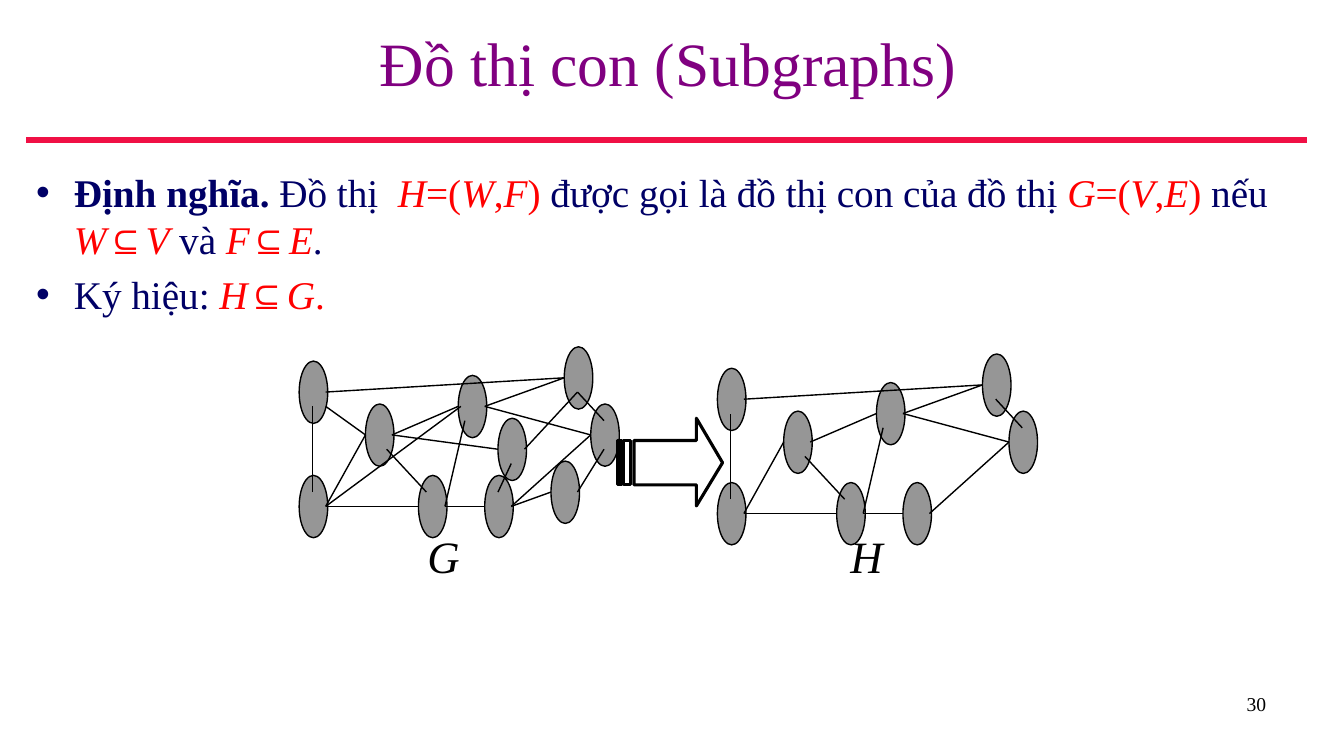
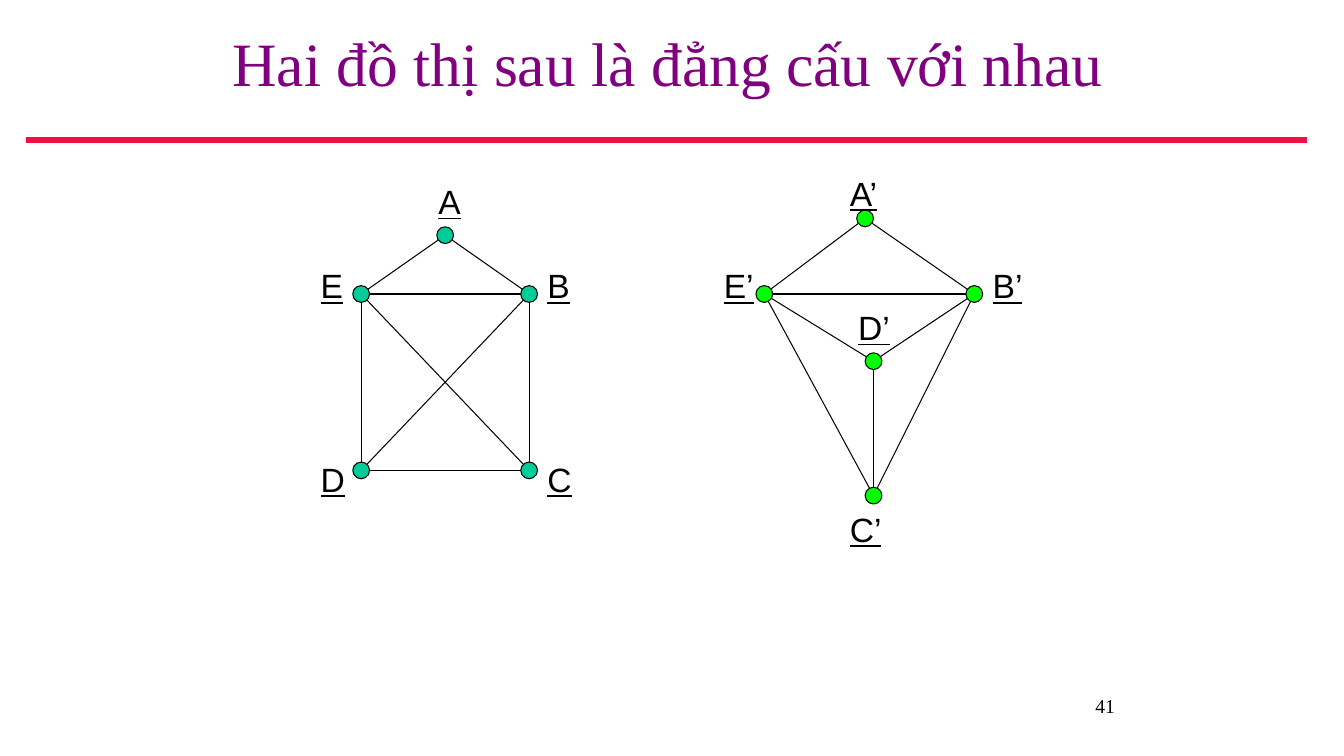
from itertools import groupby

from lxml import etree
from pptx import Presentation
from pptx.dml.color import RGBColor
from pptx.enum.shapes import MSO_CONNECTOR, MSO_SHAPE
from pptx.enum.text import MSO_ANCHOR, PP_ALIGN
from pptx.oxml.ns import qn
from pptx.util import Cm, Pt

LINE = MSO_CONNECTOR.STRAIGHT
OVAL = MSO_SHAPE.OVAL
TOP, MIDDLE = MSO_ANCHOR.TOP, MSO_ANCHOR.MIDDLE
LEFT, CENTER, RIGHT = PP_ALIGN.LEFT, PP_ALIGN.CENTER, PP_ALIGN.RIGHT

SERIF, SANS = "Times New Roman", "Arial"
BLACK, PURPLE, NAVY, RED = "000000", "800080", "000066", "FF0000"
CRIMSON, GREY, TEAL, GREEN = "F01045", "969696", "00CC99", "00FF00"

COL, ROW = 6.68 / 20, 0.36
UNIT = 2.54 / 12

NODES = [(0, 1), (0, 9), (9, 9), (12, 2), (20, 0), (5, 4), (14, 9), (22, 4)]
MORE_NODES = [(19, 8), (15, 5)]
EDGES = [
    (2, 1, 20, 0), (2, 9, 5, 4), (7, 4, 12, 2), (2, 9, 9, 9),
    (1, 8, 1, 2), (16, 9, 22, 4), (11, 9, 12.5, 3), (14, 2, 22, 4),
    (14, 2, 20, 0), (6.6, 5, 9.6, 8), (11, 9, 14, 9), (23, 3, 21, 1),
]
MORE_EDGES = [
    (2, 2, 5, 4), (7, 4, 15, 5), (16, 9, 19, 8), (15, 8, 16, 6),
    (17, 5, 21, 1), (21, 8, 23, 5), (2, 9, 12.2, 2),
]

HOUSE = {
    "A": (53, 28, 51, 21), "B": (63, 35, 64, 31), "C": (63, 56, 64, 54),
    "D": (43, 56, 37, 54), "E": (43, 35, 37, 31),
}
KITE = {
    "A’": (103, 26, 100, 20), "B’": (116, 35, 117, 31),
    "C’": (104, 59, 100, 60), "D’": (104, 43, 101, 36),
    "E’": (91, 35, 85, 31),
}
PAIRS = ["ED", "EB", "BC", "DC", "EA", "AB", "EC", "DB"]
KITE_PAIRS = ["AE", "AB", "EB", "ED", "BD", "DC", "EC", "BC"]


def paint(hue):
    return RGBColor.from_string(hue)


def style(font, size, hue, name=SERIF):
    font.name, font.size = name, Pt(size)
    font.color.rgb = paint(hue)


def frame(slide, x, y, w, h, anchor=TOP, wrap=True):
    box = slide.shapes.add_textbox(Cm(x), Cm(y), Cm(w), Cm(h))
    text = box.text_frame
    text.word_wrap = wrap
    text.vertical_anchor = anchor
    return text


def label(slide, words, area, size, hue=BLACK, name=SERIF, align=LEFT,
          anchor=TOP, wrap=True):
    par = frame(slide, *area, anchor, wrap).paragraphs[0]
    par.text = words
    par.alignment = align
    style(par.font, size, hue, name)
    return par.font


def line(slide, x1, y1, x2, y2, width=1, hue=BLACK):
    edge = slide.shapes.add_connector(LINE, Cm(x1), Cm(y1), Cm(x2), Cm(y2))
    edge.line.width = Pt(width)
    edge.line.color.rgb = paint(hue)
    etree.SubElement(edge._element.spPr, qn("a:effectLst"))


def oval(slide, x, y, w, h, hue, width):
    node = slide.shapes.add_shape(OVAL, Cm(x), Cm(y), Cm(w), Cm(h))
    node.shadow.inherit = False
    node.fill.solid()
    node.fill.fore_color.rgb = paint(hue)
    node.line.width = Pt(width)
    node.line.color.rgb = paint(BLACK)


def page(deck, title, number, area):
    slide = deck.slides.add_slide(deck.slide_layouts[6])
    line(slide, 0.66, 3.53, 32.94, 3.53, 4.5, CRIMSON)
    label(slide, number, area, 14, align=RIGHT)
    label(slide, title, (0.66, 0, 32.36, 3.12), 44, PURPLE,
          align=CENTER, anchor=MIDDLE)
    return slide


def bullet(par):
    props = par._p.get_or_add_pPr()
    props.set("marL", str(Cm(0.95)))
    props.set("indent", str(-Cm(0.95)))
    etree.SubElement(props, qn("a:buFont")).set("typeface", SANS)
    etree.SubElement(props, qn("a:buChar")).set("char", "•")
    style(par.font, 28, NAVY)


def put(par, words, bold=False):
    run = par.add_run()
    run.text = words
    if bold:
        run.font.bold = True
    return run


def math(par, words):
    for slant, part in groupby(words, str.isalpha):
        run = put(par, "".join(part))
        run.font.italic = slant
        run.font.color.rgb = paint(RED)


def mixed(par, parts):
    for index, words in enumerate(parts):
        if index % 2:
            math(par, words)
        else:
            put(par, words)


def body(slide):
    text = frame(slide, 0.66, 4.11, 32.36, 14.07)
    first, second = text.paragraphs[0], text.add_paragraph()
    bullet(first)
    put(first, "Định nghĩa. ", True)
    mixed(first, ["Đồ thị  ", "H=(W,F) ", "được gọi là đồ thị con của đồ thị ",
                  "G=(V,E) ", "nếu ", "W⊆V ", "và ", "F⊆E", "."])
    bullet(second)
    second.space_before = Pt(5.6)
    mixed(second, ["Ký hiệu: ", "H⊆G."])


def graph(slide, left, top, nodes, edges):
    for col, row in nodes:
        oval(slide, left + col * COL, top + row * ROW - 0.78,
             0.72, 1.57, GREY, 1)
    for c1, r1, c2, r2 in edges:
        line(slide, left + c1 * COL, top + r1 * ROW,
             left + c2 * COL, top + r2 * ROW)


def bar(left, right):
    return [(left, 11.1), (left, 12.22), (right, 12.22), (right, 11.1)]


def arrow(slide):
    head = [(17.55, 10.54), (17.55, 11.1), (15.98, 11.1), (15.98, 12.22),
            (17.55, 12.22), (17.55, 12.75), (18.21, 11.66)]
    pen = None
    for path in (head, bar(15.72, 15.9), bar(15.57, 15.65)):
        start, *rest = [(Cm(x), Cm(y)) for x, y in path]
        if pen:
            pen.move_to(*start)
        else:
            pen = slide.shapes.build_freeform(*start)
        pen.add_line_segments(rest, close=True)
    shape = pen.convert_to_shape()
    shape.shadow.inherit = False
    shape.fill.background()
    shape.line.width = Pt(2.25)
    shape.line.color.rgb = paint(BLACK)


def links(slide, spots, pairs):
    ends = {name[0]: spot[:2] for name, spot in spots.items()}
    for a, b in pairs:
        line(slide, *[n * UNIT for n in ends[a] + ends[b]], 0.75)


def dots(slide, spots, hue):
    for name, (x, y, left, top) in spots.items():
        oval(slide, (x - 1) * UNIT, (y - 1) * UNIT,
             2 * UNIT, 2 * UNIT, hue, 0.75)
        area = [n * UNIT for n in (left, top, 8, 6)]
        label(slide, name, area, 24, name=SANS).underline = True


def main():
    deck = Presentation()
    deck.slide_width, deck.slide_height = Cm(33.87), Cm(19.05)

    slide = page(deck, "Đồ thị con (Subgraphs)", "30",
                 (24.26, 17.32, 7.9, 1.32))
    body(slide)
    graph(slide, 7.54, 9.52, NODES + MORE_NODES, EDGES + MORE_EDGES)
    graph(slide, 18.08, 9.7, NODES, EDGES)
    arrow(slide)
    for name, left in (("G", 10.52), ("H", 21.18)):
        label(slide, name, (left, 13.2, 1.32, 1.6), 32, align=CENTER,
              anchor=MIDDLE, wrap=False).italic = True

    slide = page(deck, "Hai đồ thị sau là đẳng cấu với nhau", "41",
                 (22.43, 17.35, 5.92, 1.27))
    links(slide, HOUSE, PAIRS)
    links(slide, KITE, KITE_PAIRS)
    dots(slide, HOUSE, TEAL)
    dots(slide, KITE, GREEN)

    deck.save("out.pptx")


if __name__ == "__main__":
    main()
